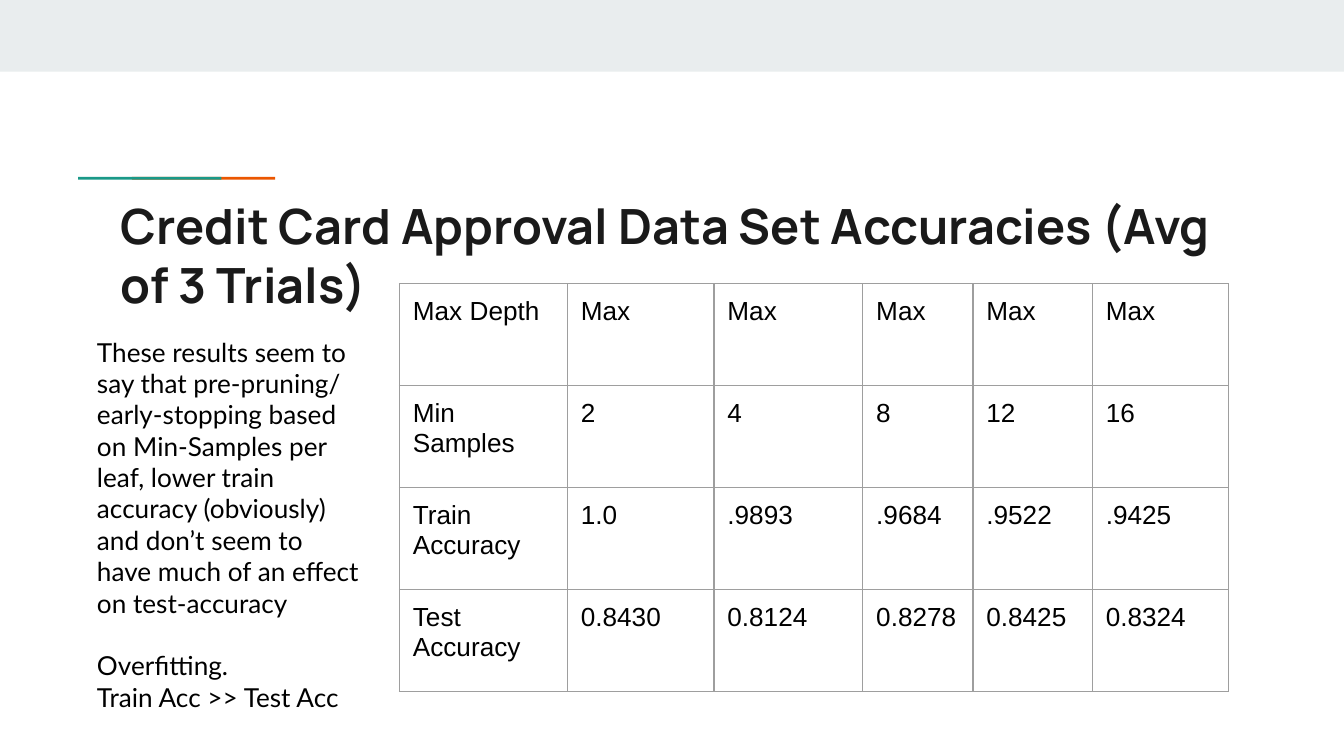
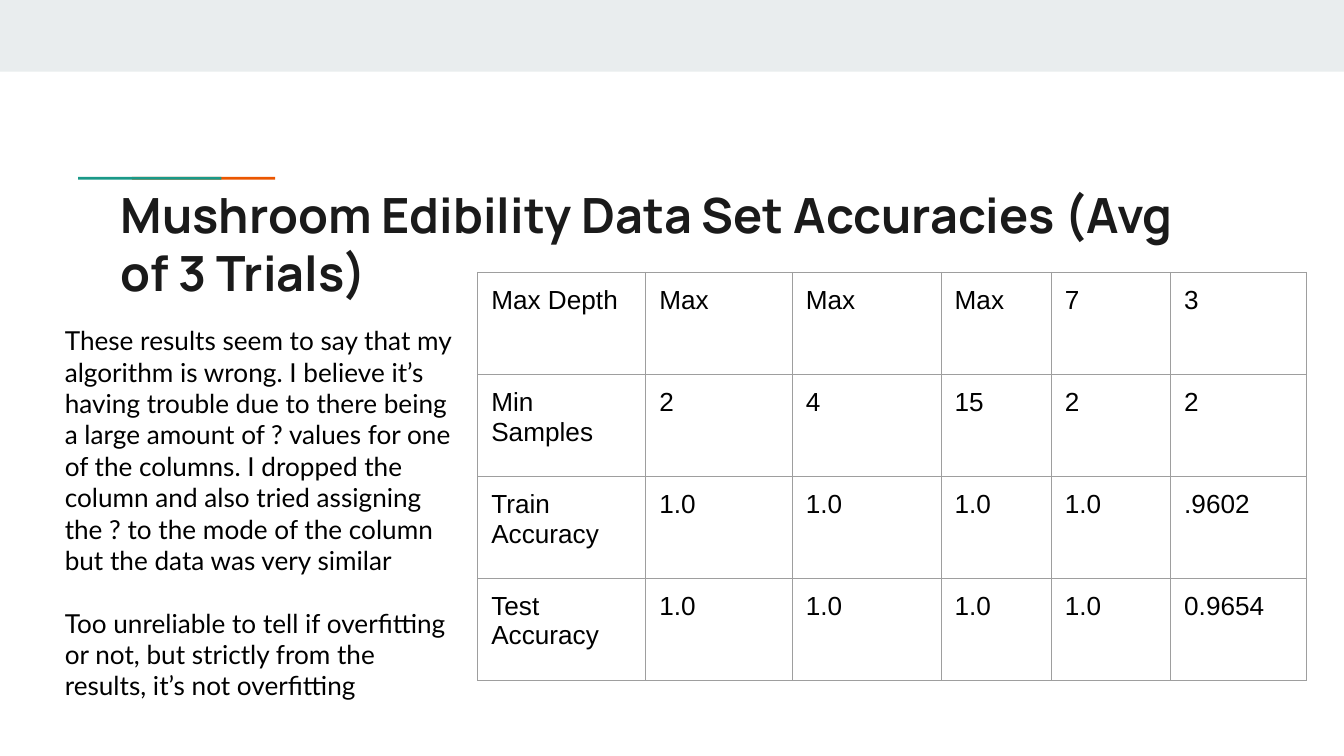
from collections import namedtuple
from dataclasses import dataclass

from lxml import etree
from pptx import Presentation
from pptx.dml.color import RGBColor
from pptx.enum.shapes import MSO_SHAPE
from pptx.enum.text import MSO_ANCHOR, PP_ALIGN
from pptx.oxml.ns import qn
from pptx.util import Pt

RECTANGLE = MSO_SHAPE.RECTANGLE
TOP = MSO_ANCHOR.TOP
LEFT = PP_ALIGN.LEFT

Box = namedtuple("Box", "left top width height")
TextStyle = namedtuple("TextStyle", "font size color bold")


@dataclass(frozen=True)
class Theme:
    """Colours, type styles and measures shared by the slides."""

    band: str = "E9EDEE"
    teal: str = "1A9988"
    orange: str = "EB5600"
    border: str = "9E9E9E"
    border_width: float = 0.75
    inset: float = 7.2
    title: TextStyle = TextStyle("Manrope", 26, "1A1A1A", True)
    commentary: TextStyle = TextStyle("Lato", 14, "000000", False)
    cell: TextStyle = TextStyle("Arial", 14, "000000", False)


THEME = Theme()
PAGE = Box(0, 0, 720, 405)
BAND_HEIGHT = 38.4
ACCENT = Box(41.8, 94.7, 105.6, 1.5)
BAR_LENGTH = 76.8
TITLE_LEFT, TITLE_WIDTH, TITLE_HEIGHT = 57.6, 605.5, 42.5
TABLE_DROP, COMMENTARY_DROP = 54, 74.8
COMMENTARY_HEIGHT = 184.3
COLUMN_WIDTHS = (90, 78.5, 79.75, 59, 64, 72.75)
ROW_HEIGHT = 54.65
ROW_LABELS = ("Max Depth", "Min\nSamples", "Train Accuracy", "Test Accuracy")
PARAGRAPH_GAP = 16.8

SLIDES = (
    {
        "title": "Credit Card Approval Data Set Accuracies (Avg of 3 Trials)",
        "top": 98,
        "table_left": 214,
        "commentary_left": 44.9,
        "commentary_width": 156.2,
        "results": (
            ("Max", "Max", "Max", "Max", "Max"),
            ("2", "4", "8", "12", "16"),
            ("1.0", ".9893", ".9684", ".9522", ".9425"),
            ("0.8430", "0.8124", "0.8278", "0.8425", "0.8324"),
        ),
        "commentary": (
            "These results seem to say that pre-pruning/ early-stopping based "
            "on Min-Samples per leaf, lower train accuracy (obviously) and "
            "don’t seem to have much of an effect on test-accuracy",
            "Overfitting.",
            "Train Acc >> Test Acc",
        ),
    },
    {
        "title": "Mushroom Edibility Data Set Accuracies (Avg of 3 Trials)",
        "top": 92,
        "table_left": 256,
        "commentary_left": 27.6,
        "commentary_width": 222.5,
        "results": (
            ("Max", "Max", "Max", "7", "3"),
            ("2", "4", "15", "2", "2"),
            ("1.0", "1.0", "1.0", "1.0", ".9602"),
            ("1.0", "1.0", "1.0", "1.0", "0.9654"),
        ),
        "commentary": (
            "These results seem to say that my algorithm is wrong. I believe "
            "it’s having trouble due to there being a large amount of ? values "
            "for one of the columns. I dropped the column and also tried "
            "assigning the ? to the mode of the column but the data was very "
            "similar",
            "Too unreliable to tell if overfitting or not, but strictly from "
            "the results, it’s not overfitting",
        ),
    },
)


def apply_format(target, values):
    """Set each named attribute of the target."""
    for name, value in values.items():
        setattr(target, name, value)


def in_points(box):
    """Return the box as lengths."""
    return [Pt(value) for value in box]


def inset_margins():
    """Return the format values for equal margins on all sides."""
    sides = ("left", "top", "right", "bottom")
    return {f"margin_{side}": Pt(THEME.inset) for side in sides}


def style_paragraph(paragraph, style):
    """Apply a text style to a paragraph and its runs."""
    apply_format(paragraph, {"alignment": LEFT, "line_spacing": 1.0})
    for run in paragraph.runs:
        apply_format(run.font, {"name": style.font, "size": Pt(style.size), "bold": style.bold})
        run.font.color.rgb = RGBColor.from_string(style.color)


def add_block(slide, box, color):
    """Add a plain filled rectangle and return it."""
    shape = slide.shapes.add_shape(RECTANGLE, *in_points(box))
    shape.shadow.inherit = False
    shape.fill.solid()
    shape.fill.fore_color.rgb = RGBColor.from_string(color)
    shape.line.fill.background()
    return shape


def add_text(slide, box, text, style):
    """Add a wrapped text box and return its paragraphs."""
    frame = slide.shapes.add_textbox(*in_points(box)).text_frame
    apply_format(frame, {"word_wrap": True, "vertical_anchor": TOP, **inset_margins()})
    frame.text = text
    for paragraph in frame.paragraphs:
        style_paragraph(paragraph, style)
    return frame.paragraphs


def add_accent(slide, box):
    """Add the orange bar and the teal bar that overlaps it."""
    orange_left = box.left + box.width - BAR_LENGTH
    for left, color in ((orange_left, THEME.orange), (box.left, THEME.teal)):
        upright = Box(
            left + (BAR_LENGTH - box.height) / 2,
            box.top - (BAR_LENGTH - box.height) / 2,
            box.height,
            BAR_LENGTH,
        )
        add_block(slide, upright, color).rotation = 270


def add_commentary(slide, box, texts):
    """Add the remarks, with a gap after the first."""
    paragraphs = add_text(slide, box, "\n".join(texts), THEME.commentary)
    paragraphs[1].space_before = Pt(PARAGRAPH_GAP)


def add_borders(cell):
    """Draw all four borders of a table cell."""
    properties = cell._tc.get_or_add_tcPr()
    for tag in ("a:lnL", "a:lnR", "a:lnT", "a:lnB"):
        line = etree.SubElement(properties, qn(tag), w=str(Pt(THEME.border_width)))
        fill = etree.SubElement(line, qn("a:solidFill"))
        etree.SubElement(fill, qn("a:srgbClr"), val=THEME.border)


def fill_cell(cell, text):
    """Write and format one table cell."""
    apply_format(cell, {"text": text, "vertical_anchor": TOP, **inset_margins()})
    add_borders(cell)
    cell.fill.background()
    for paragraph in cell.text_frame.paragraphs:
        style_paragraph(paragraph, THEME.cell)


def add_results(slide, box, results):
    """Add the table of accuracies."""
    rows = [(label, *values) for label, values in zip(ROW_LABELS, results)]
    table = slide.shapes.add_table(len(rows), len(COLUMN_WIDTHS), *in_points(box)).table
    apply_format(table, {"first_row": False, "horz_banding": False})
    for column, width in zip(table.columns, COLUMN_WIDTHS):
        column.width = Pt(width)
    for row, texts in zip(table.rows, rows):
        row.height = Pt(ROW_HEIGHT)
        for cell, text in zip(row.cells, texts):
            fill_cell(cell, text)


def add_accuracy_slide(presentation, page, content):
    """Build one slide of results within the page box."""
    slide = presentation.slides.add_slide(presentation.slide_layouts[6])
    top = page.top + content["top"]
    title_box = Box(page.left + TITLE_LEFT, top, TITLE_WIDTH, TITLE_HEIGHT)
    table_box = Box(
        page.left + content["table_left"],
        top + TABLE_DROP,
        sum(COLUMN_WIDTHS),
        ROW_HEIGHT * len(ROW_LABELS),
    )
    commentary_box = Box(
        page.left + content["commentary_left"],
        top + COMMENTARY_DROP,
        content["commentary_width"],
        COMMENTARY_HEIGHT,
    )
    accent_box = ACCENT._replace(left=page.left + ACCENT.left, top=page.top + ACCENT.top)
    add_block(slide, page._replace(height=BAND_HEIGHT), THEME.band)
    add_accent(slide, accent_box)
    add_text(slide, title_box, content["title"], THEME.title)
    add_results(slide, table_box, content["results"])
    add_commentary(slide, commentary_box, content["commentary"])


def main():
    """Build and save the presentation."""
    presentation = Presentation()
    size = {"slide_width": Pt(PAGE.width), "slide_height": Pt(PAGE.height)}
    apply_format(presentation, size)
    for content in SLIDES:
        add_accuracy_slide(presentation, PAGE, content)
    presentation.save("out.pptx")


if __name__ == "__main__":
    main()
